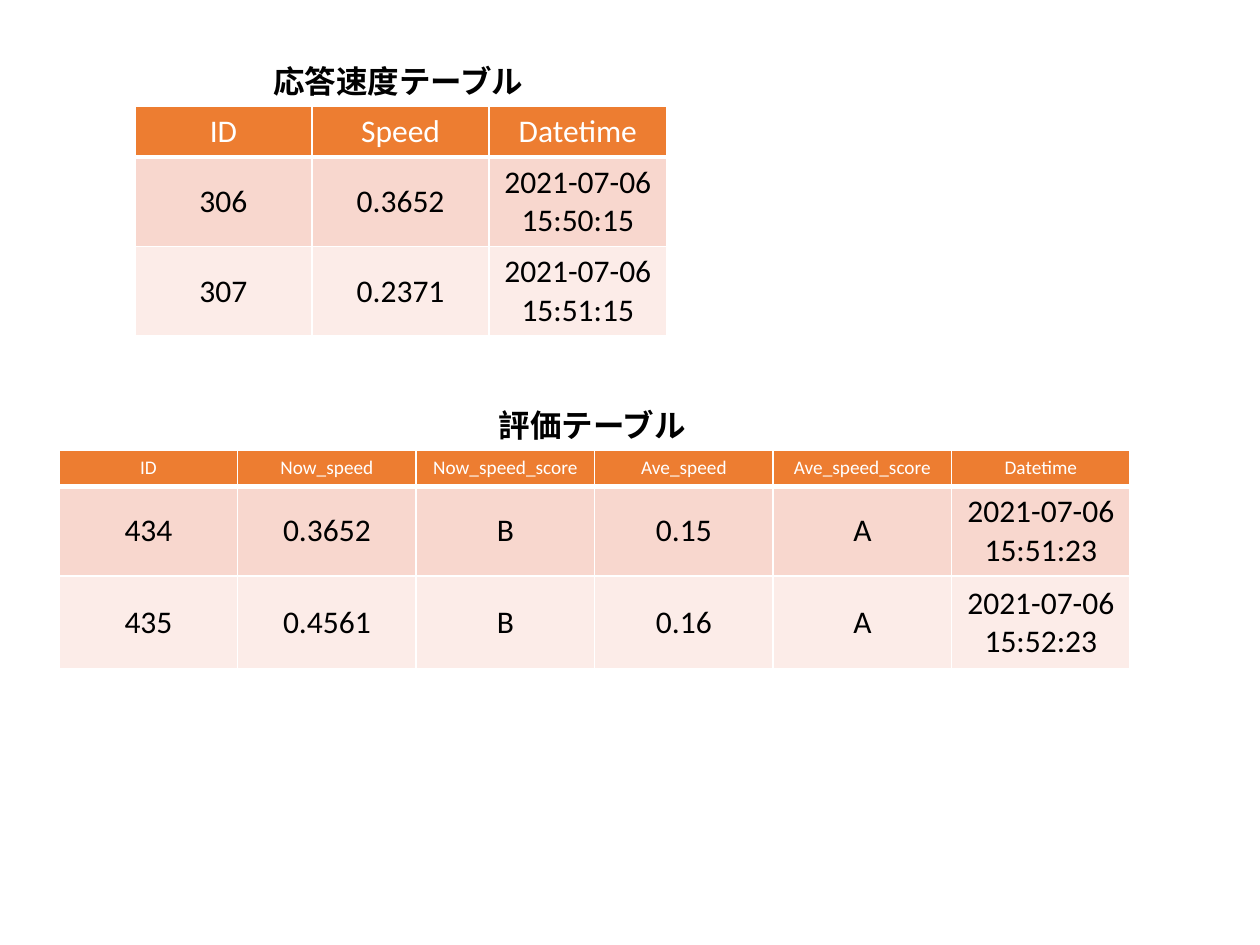
from lxml.etree import SubElement
from pptx import Presentation
from pptx.dml.color import RGBColor
from pptx.enum.text import MSO_ANCHOR, MSO_AUTO_SIZE, PP_ALIGN
from pptx.oxml.ns import qn
from pptx.util import Inches, Pt

FONT = "Calibri"
WHITE, BLACK = "FFFFFF", "000000"
HEADER_FILL = "ED7D31"
BAND_FILLS = ["F8D7CE", "FCECE8"]

SPEED_ROWS = [
    ["ID", "Speed", "Datetime"],
    ["306", "0.3652", "2021-07-06 15:50:15"],
    ["307", "0.2371", "2021-07-06 15:51:15"],
]
RATING_ROWS = [
    ["ID", "Now_speed", "Now_speed_score", "Ave_speed", "Ave_speed_score", "Datetime"],
    ["434", "0.3652", "B", "0.15", "A", "2021-07-06 15:51:23"],
    ["435", "0.4561", "B", "0.16", "A", "2021-07-06 15:52:23"],
]


def rgb(color):
    return RGBColor.from_string(color)


def write_text(tf, text, size=18, color=BLACK, bold=False, align=PP_ALIGN.LEFT):
    p = tf.paragraphs[0]
    p.alignment = align
    r = p.add_run()
    r.text = text
    r.font.name = FONT
    r.font.size = Pt(size)
    r.font.bold = bold
    r.font.color.rgb = rgb(color)


def set_borders(cell, bottom=1):
    """Draw white cell edges, 1 pt except for the given bottom width."""
    tc_pr = cell._tc.get_or_add_tcPr()
    for side, width in zip("LRTB", (1, 1, 1, bottom)):
        ln = SubElement(tc_pr, qn(f"a:ln{side}"), w=str(Pt(width)))
        fill = SubElement(ln, qn("a:solidFill"))
        SubElement(fill, qn("a:srgbClr"), val=WHITE)


def add_caption(slide, text, left, top, width):
    sp = slide.shapes.add_textbox(Inches(left), Inches(top), Inches(width), Inches(0.4))
    tf = sp.text_frame
    tf.word_wrap = False
    tf.auto_size = MSO_AUTO_SIZE.SHAPE_TO_FIT_TEXT
    write_text(tf, text, bold=True)


def add_data_table(slide, rows, left, top, width, heights, header_size=18):
    table = slide.shapes.add_table(
        len(rows), len(rows[0]), Inches(left), Inches(top), Inches(width), Inches(sum(heights))
    ).table
    for i, (values, height) in enumerate(zip(rows, heights)):
        table.rows[i].height = Inches(height)
        header = i == 0
        for j, value in enumerate(values):
            cell = table.cell(i, j)
            cell.vertical_anchor = MSO_ANCHOR.MIDDLE
            set_borders(cell, bottom=3 if header else 1)
            cell.fill.solid()
            cell.fill.fore_color.rgb = rgb(HEADER_FILL if header else BAND_FILLS[i - 1])
            write_text(
                cell.text_frame,
                value,
                size=header_size if header else 18,
                color=WHITE if header else BLACK,
                align=PP_ALIGN.CENTER,
            )


def main():
    prs = Presentation()
    prs.slide_width, prs.slide_height = Inches(10), Inches(7.5)
    slide = prs.slides.add_slide(prs.slide_layouts[6])
    add_data_table(slide, SPEED_ROWS, 1.07, 0.84, 4.22, [0.4, 0.71, 0.71])
    add_data_table(slide, RATING_ROWS, 0.47, 3.57, 8.5, [0.29, 0.71, 0.74], header_size=11)
    add_caption(slide, "応答速度テーブル", 2.07, 0.44, 2.22)
    add_caption(slide, "評価テーブル", 3.86, 3.17, 1.72)
    prs.save("out.pptx")


if __name__ == "__main__":
    main()
